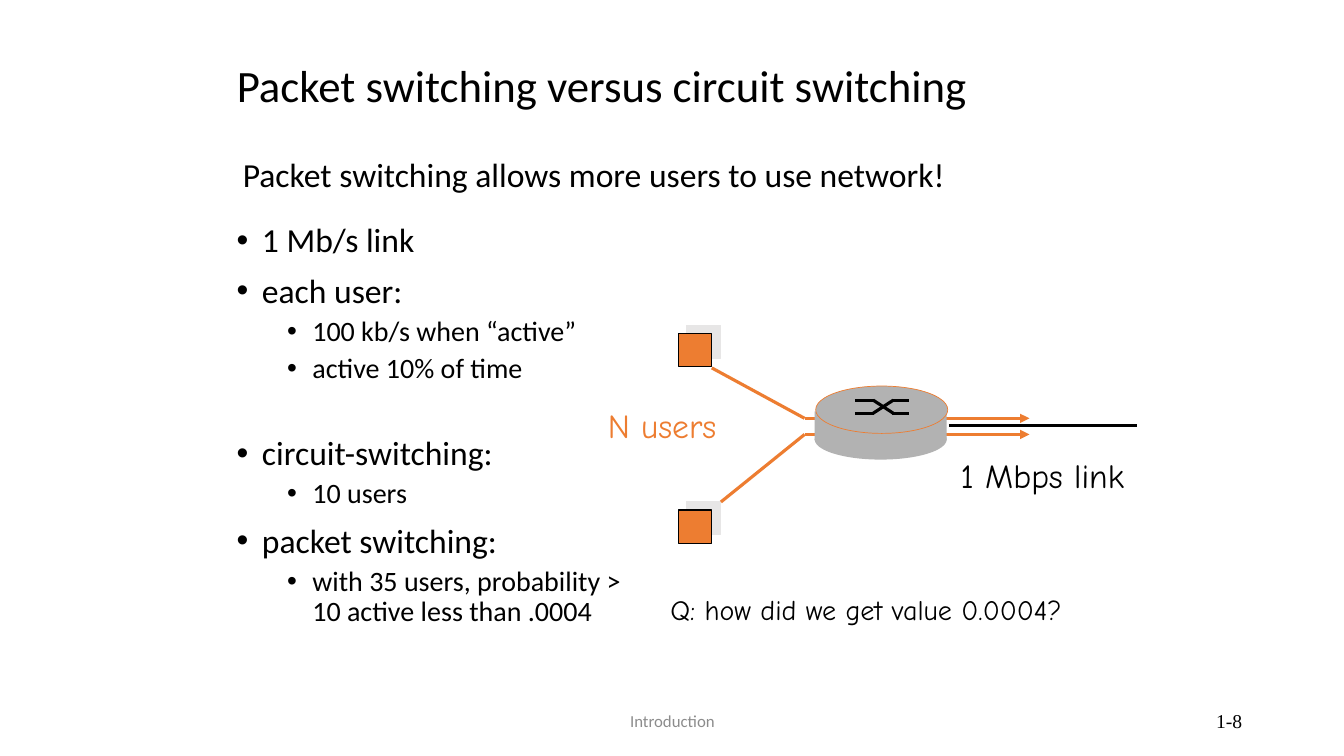
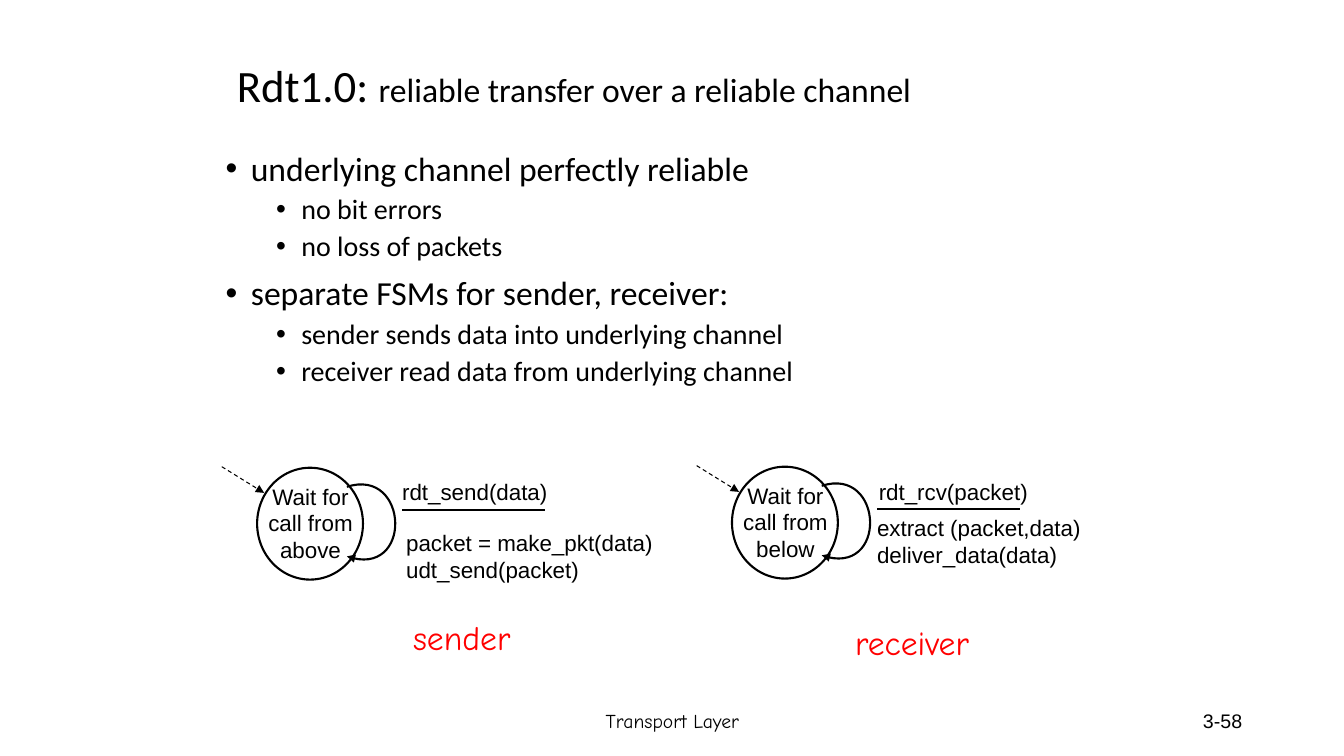
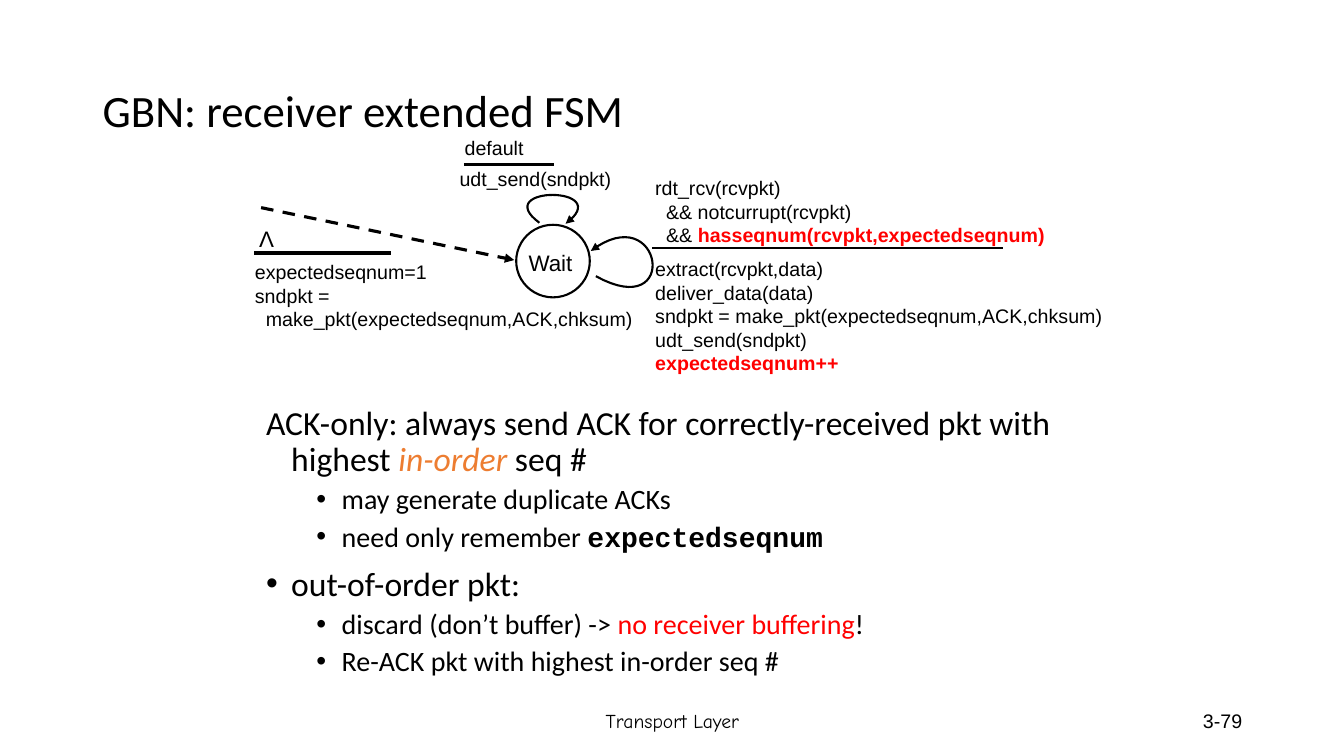
import pptx
import pptx.util
import pptx.dml.color
import pptx.enum.dml
import pptx.enum.shapes
import pptx.enum.text
import pptx.oxml
import pptx.oxml.ns
from lxml import etree

Inches, Pt = pptx.util.Inches, pptx.util.Pt
SHAPE = pptx.enum.shapes.MSO_SHAPE
ALIGN = pptx.enum.text.PP_ALIGN
qn = pptx.oxml.ns.qn

BLACK, WHITE, ORANGE, RED = "000000", "FFFFFF", "ED7D31", "FF0000"
GRAY, SHADOW, MUTED = "B2B2B2", "E7E6E6", "8C8C8C"
HAND = "Comic Neue"
KEY = {"color": RED, "bold": True}


def rgb(value):
    return pptx.dml.color.RGBColor.from_string(value)


class Deck:
    """Shared style and the slide being drawn."""

    def __init__(self):
        self.prs = pptx.Presentation()
        self.prs.slide_width, self.prs.slide_height = Inches(13.33), Inches(7.5)
        self.s = None

    def slide(self, title, number, box=(2.25, 0.25, 8.75, 1.25),
              footer="Transport Layer", footer_fmt=None, number_font="Arial"):
        self.s = self.prs.slides.add_slide(self.prs.slide_layouts[6])
        tf = self.text(*box, [title], size=32, font="Calibri", anchor="MIDDLE")
        tf.paragraphs[0].line_spacing = 0.9
        self.text(4.42, 6.95, 4.5, 0.4, [footer], align="CENTER", anchor="MIDDLE",
                  **(footer_fmt or {"size": 14, "font": HAND}))
        self.text(9.42, 6.95, 3, 0.4, [number], size=14, font=number_font,
                  align="RIGHT", anchor="MIDDLE")

    def runs(self, p, content, base):
        """Content is a string, or a list of strings and (string, format) pairs."""
        for part in [content] if isinstance(content, str) else content:
            text, fmt = (part, {}) if isinstance(part, str) else part
            r = p.add_run()
            r.text = text
            values = {**base, **fmt}
            r.font.color.rgb = rgb(values.pop("color"))
            values["size"] = Pt(values["size"])
            for name, value in values.items():
                setattr(r.font, name, value)

    def frame(self, x, y, w, h, wrap=True, anchor="TOP"):
        tf = self.s.shapes.add_textbox(Inches(x), Inches(y), Inches(w), Inches(h)).text_frame
        auto = pptx.enum.text.MSO_AUTO_SIZE
        values = {"word_wrap": wrap,
                  "auto_size": auto.NONE if wrap else auto.SHAPE_TO_FIT_TEXT,
                  "vertical_anchor": getattr(pptx.enum.text.MSO_ANCHOR, anchor)}
        for name, value in values.items():
            setattr(tf, name, value)
        return tf

    def text(self, x, y, w, h, lines, size=16, font="Arial", color=BLACK,
             align="LEFT", anchor="TOP", wrap=True):
        tf = self.frame(x, y, w, h, wrap, anchor)
        for i, line in enumerate(lines):
            p = tf.add_paragraph() if i else tf.paragraphs[0]
            p.alignment = getattr(ALIGN, align)
            self.runs(p, line, {"size": size, "name": font, "color": color})
        return tf

    def bullets(self, x, y, w, h, items):
        """Items are (level, content), with an optional dict of paragraph settings."""
        tf = self.frame(x, y, w, h)
        for i, (level, content, *extra) in enumerate(items):
            opts = {"before": 5 if level else 10, "bullet": True, **(extra[0] if extra else {})}
            p = tf.add_paragraph() if i else tf.paragraphs[0]
            pPr = p._p.get_or_add_pPr()
            pPr.set("marL", str(Inches(0.25 + 0.5 * level)))
            pPr.set("indent", str(Inches(-0.25)))
            if opts["bullet"]:
                etree.SubElement(pPr, qn("a:buFont")).set("typeface", "Arial")
                etree.SubElement(pPr, qn("a:buChar")).set("char", "•")
            else:
                etree.SubElement(pPr, qn("a:buNone"))
            values = {"level": level, "line_spacing": 0.9,
                      "space_before": Pt(opts["before"] if i else 0)}
            for name, value in values.items():
                setattr(p, name, value)
            self.runs(p, content, {"size": 20 if level else 24, "name": "Calibri", "color": BLACK})

    def stroke(self, line, color, width, dash=False, arrow=False):
        line.color.rgb = rgb(color)
        line.width = Pt(width)
        if dash:
            line.dash_style = pptx.enum.dml.MSO_LINE.DASH
        if arrow:
            etree.SubElement(line._get_or_add_ln(), qn("a:tailEnd")).set("type", "triangle")

    def shape(self, kind, x, y, w, h, fill, line=None, width=1.5):
        sp = self.s.shapes.add_shape(kind, Inches(x), Inches(y), Inches(w), Inches(h))
        sp.shadow.inherit = False
        sp.fill.solid()
        sp.fill.fore_color.rgb = rgb(fill)
        if line:
            self.stroke(sp.line, line, width)
        else:
            sp.line.fill.background()
        return sp

    def line(self, x1, y1, x2, y2, color=BLACK, width=2.25, **ends):
        c = self.s.shapes.add_connector(pptx.enum.shapes.MSO_CONNECTOR.STRAIGHT,
                                        Inches(x1), Inches(y1), Inches(x2), Inches(y2))
        self.stroke(c.line, color, width, **ends)
        etree.SubElement(c._element.spPr, qn("a:effectLst"))

    def loop(self, *ctrl, steps=32):
        """Arrowed cubic curve through four control points."""
        pts = []
        for i in range(steps + 1):
            t = i / steps
            weights = ((1 - t) ** 3, 3 * t * (1 - t) ** 2, 3 * t * t * (1 - t), t ** 3)
            pts.append([Inches(sum(k * c[axis] for k, c in zip(weights, ctrl)))
                        for axis in (0, 1)])
        fb = self.s.shapes.build_freeform(*pts[0])
        fb.add_line_segments(pts[1:], close=False)
        sp = fb.convert_to_shape()
        sp.shadow.inherit = False
        sp.fill.background()
        self.stroke(sp.line, BLACK, 1.5, arrow=True)

    def host(self, x, y):
        sp = self.shape(SHAPE.RECTANGLE, x, y, 0.33, 0.33, ORANGE, BLACK, 0.75)
        effects = sp._element.spPr.find(qn("a:effectLst"))
        shadow = etree.SubElement(effects, qn("a:outerShdw"), blurRad="0", dist=str(Pt(8.5)),
                                  dir=str(315 * 60000), algn="ctr", rotWithShape="0")
        etree.SubElement(shadow, qn("a:srgbClr")).set("val", SHADOW)

    def router(self):
        self.shape(SHAPE.OVAL, 8.08, 4.16, 1.31, 0.4, GRAY)
        self.shape(SHAPE.RECTANGLE, 8.08, 4.08, 1.31, 0.29, GRAY)
        self.shape(SHAPE.OVAL, 8.09, 3.83, 1.31, 0.47, GRAY, ORANGE, 0.5)
        top, bottom = 3.97, 4.1
        for start, end in ((top, bottom), (bottom, top)):
            self.line(8.48, start, 8.67, start)
            self.line(8.66, start, 8.86, end)
            self.line(8.85, end, 9.02, end)

    def state(self, x, y, label):
        """State circle with its entry arrow and self loop."""
        self.shape(SHAPE.OVAL, x, y, 1.05, 1.11, WHITE, BLACK)
        self.text(x - 0.07, y + 0.1, 1.2, 1, [label], align="CENTER")
        self.loop((x + 0.89, y + 0.19), (x + 1.51, y - 0.01),
                  (x + 1.55, y + 1.11), (x + 0.89, y + 0.88))
        self.line(x - 0.35, y - 0.01, x + 0.07, y + 0.25, width=0.75, dash=True, arrow=True)
        self.line(x + 1.44, y + 0.42, x + 2.86, y + 0.42, width=1.5)


def switching(d):
    d.slide("Packet switching versus circuit switching", "1-8", footer="Introduction",
            footer_fmt={"size": 12, "font": "Calibri", "color": MUTED},
            number_font="Times New Roman")
    d.bullets(2.25, 2.17, 4.17, 5.08, [
        (0, "1 Mb/s link"),
        (0, "each user:"),
        (1, "100 kb/s when “active”"),
        (1, "active 10% of time"),
        (0, "circuit-switching:", {"before": 37}),
        (1, "10 users"),
        (0, "packet switching:"),
        (1, "with 35 users, probability > 10 active less than .0004")])
    d.bullets(2.31, 1.52, 8.33, 0.67, [
        (0, "Packet switching allows more users to use network!", {"bullet": False})])
    # Users, their circuits and the shared link
    for y in (3.31, 5.06):
        d.host(6.73, y)
    for x, y, joint in ((7.06, 3.65, 4.15), (7.15, 4.98, 4.31)):
        d.line(x, y, 7.98, joint, ORANGE)
        d.line(7.98, joint, 10.21, joint, ORANGE, arrow=True)
    d.router()
    d.line(9.41, 4.22, 11.28, 4.22)
    # Labels
    for x, y, w, h, label, size, color in (
            (5.93, 3.97, 1.4, 0.5, "N users", 24, ORANGE),
            (9.43, 4.46, 1.92, 0.5, "1 Mbps link", 24, BLACK),
            (6.55, 5.83, 4.42, 0.43, "Q: how did we get value 0.0004?", 20, BLACK)):
        d.text(x, y, w, h, [label], size, HAND, color, wrap=False)


def reliable_channel(d):
    d.slide(["Rdt1.0: ", ("reliable transfer over a reliable channel", {"size": 24})], "3-58")
    d.bullets(2.14, 1.46, 8.64, 3.3, [
        (0, "underlying channel perfectly reliable"),
        (1, "no bit errors"),
        (1, "no loss of packets"),
        (0, "separate FSMs for sender, receiver:"),
        (1, "sender sends data into underlying channel"),
        (1, "receiver read data from underlying channel")])
    # State machines
    d.state(2.55, 4.64, "Wait for call from above")
    d.state(7.26, 4.63, "Wait for call from below")
    # Events and actions
    d.text(3.89, 4.69, 2.47, 0.47, ["rdt_send(data)"])
    d.text(3.93, 5.2, 2.93, 0.65, ["packet = make_pkt(data)", "udt_send(packet)"])
    d.text(8.61, 4.69, 1.69, 0.37, ["rdt_rcv(packet)"], align="CENTER", wrap=False)
    d.text(8.6, 5.05, 2.72, 0.47, ["extract (packet,data)", "deliver_data(data)"])
    for x, y, w, role in ((3.95, 6.07, 1.26, "sender"), (8.3, 6.12, 1.49, "receiver")):
        d.text(x, y, w, 0.5, [role], 24, HAND, RED, "CENTER", wrap=False)


def gbn_receiver(d):
    d.slide("GBN: receiver extended FSM", "3-79", box=(0.92, 0.4, 11.5, 1.45))
    d.bullets(2.54, 3.98, 8.91, 3.12, [
        (0, ["ACK-only: always send ACK for correctly-received pkt with highest ",
             ("in-order", {"color": ORANGE, "italic": True}), " seq #"], {"bullet": False}),
        (1, "may generate duplicate ACKs"),
        (1, ["need only remember ", ("expectedseqnum", {"name": "Courier New", "bold": True})]),
        (0, "out-of-order pkt:"),
        (1, ["discard (don’t buffer) -> ", ("no receiver buffering", {"color": RED}), "!"]),
        (1, "Re-ACK pkt with highest in-order seq #")])
    # State and transitions
    d.shape(SHAPE.OVAL, 5.12, 2.23, 0.73, 0.72, WHITE, BLACK)
    d.text(5.02, 2.42, 0.88, 0.26, ["Wait"], align="CENTER")
    d.line(2.59, 2.06, 5.1, 2.58, dash=True, arrow=True)
    d.loop((5.91, 2.74), (6.76, 3.21), (6.57, 1.95), (5.86, 2.49))
    d.loop((5.35, 2.21), (4.85, 1.84), (6.12, 1.84), (5.61, 2.22))
    # Rules between events and actions
    for x1, x2, y, width in ((4.6, 5.49, 1.63, 2.25), (6.47, 9.95, 2.46, 1.5),
                             (2.52, 3.88, 2.51, 2.25)):
        d.line(x1, y, x2, y, width=width)
    # Events and actions
    d.text(2.47, 2.18, 0.35, 0.37, ["Λ"], align="CENTER", wrap=False)
    for x, y, w, h, lines in (
            (4.51, 1.3, 0.79, 0.27, ["default"]),
            (4.46, 1.61, 1.77, 0.34, ["udt_send(sndpkt)"]),
            (6.4, 1.7, 4.6, 0.62, ["rdt_rcv(rcvpkt)", "  && notcurrupt(rcvpkt)",
                                   ["  && ", ("hasseqnum(rcvpkt,expectedseqnum)", KEY)]]),
            (6.4, 2.5, 4.72, 0.94, ["extract(rcvpkt,data)", "deliver_data(data)",
                                    "sndpkt = make_pkt(expectedseqnum,ACK,chksum)",
                                    "udt_send(sndpkt)", [("expectedseqnum++", KEY)]]),
            (2.43, 2.53, 3.98, 1.07, ["expectedseqnum=1", "sndpkt =",
                                      "  make_pkt(expectedseqnum,ACK,chksum)"])):
        d.text(x, y, w, h, lines, size=14)


def main():
    d = Deck()
    for build in (switching, reliable_channel, gbn_receiver):
        build(d)
    d.prs.save("out.pptx")


if __name__ == "__main__":
    main()
